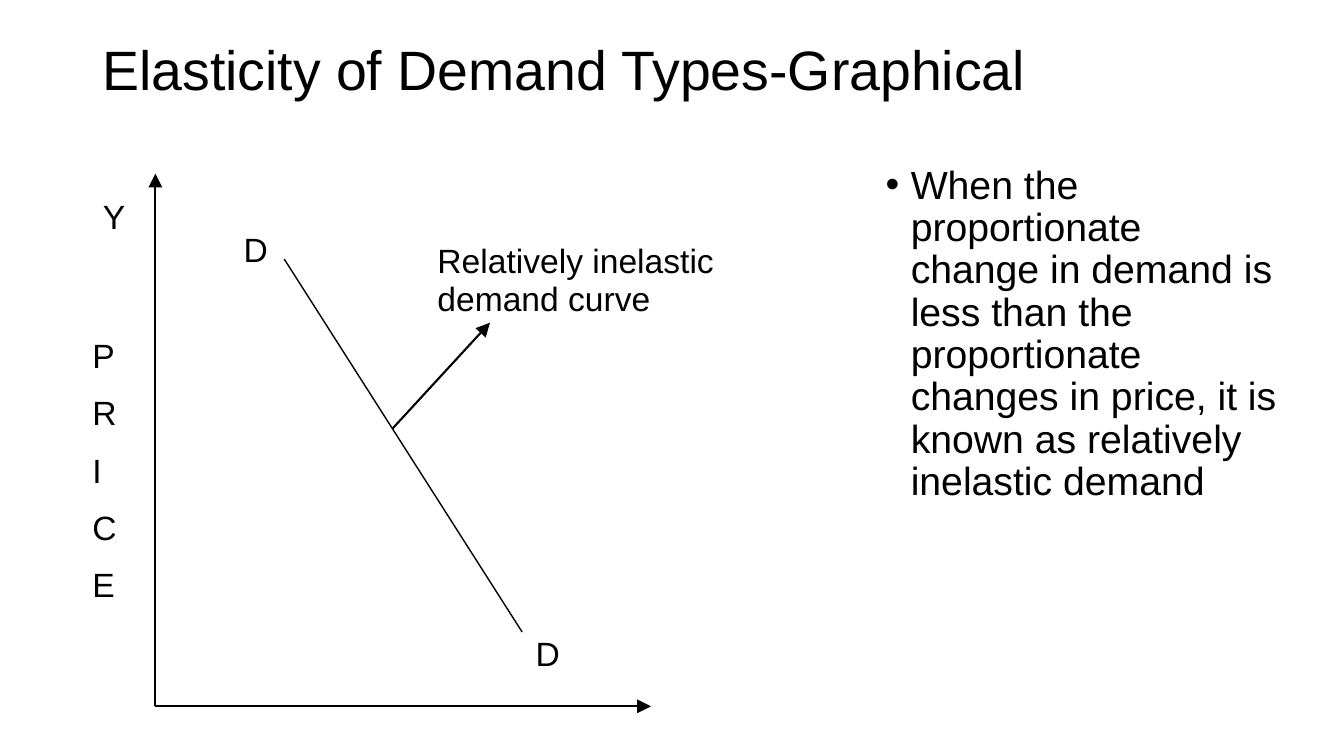
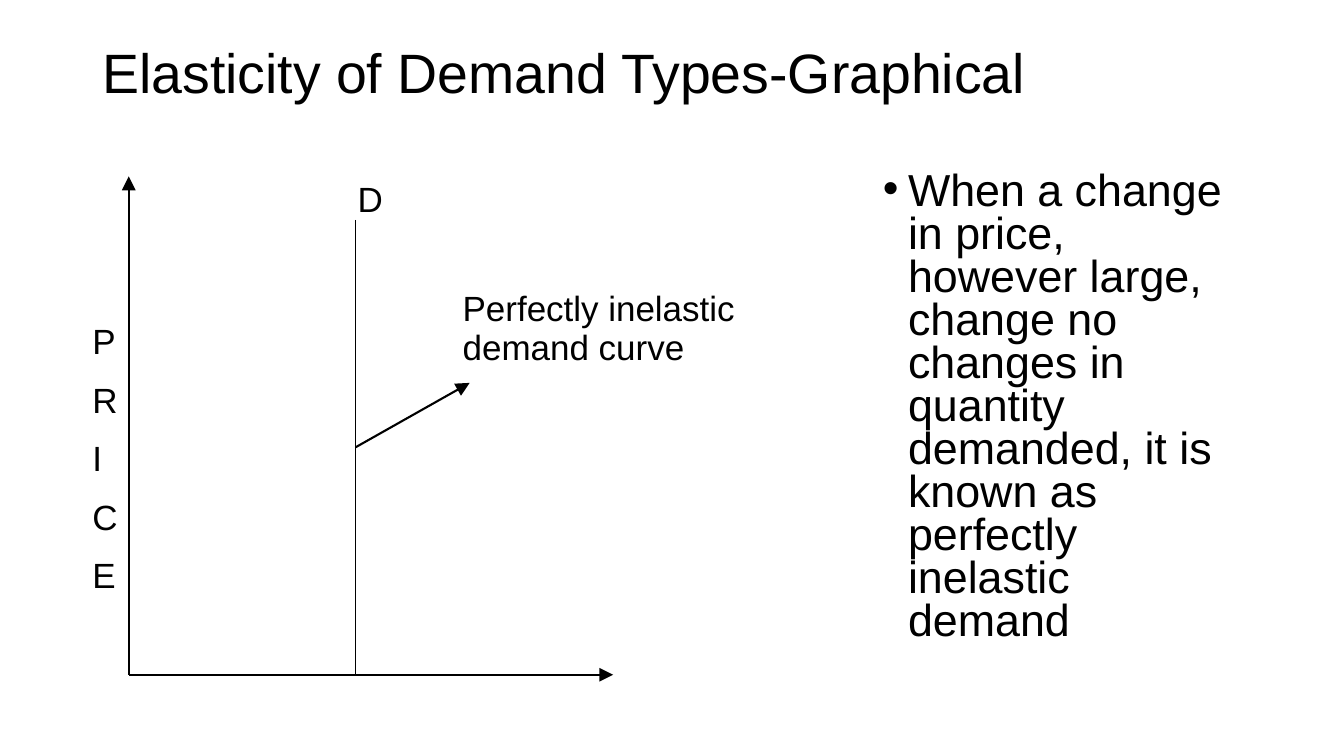
from dataclasses import dataclass

from lxml.etree import SubElement
from pptx import Presentation
from pptx.dml.color import RGBColor
from pptx.enum.shapes import MSO_CONNECTOR
from pptx.enum.text import MSO_ANCHOR
from pptx.oxml.ns import qn
from pptx.util import Pt

FONT = "Arial"
INK = "000000"
PAPER = "FFFFFF"
TITLE = "Elasticity of Demand Types-Graphical"
TITLE_SIZE = 39.6


@dataclass
class Graph:
    """Offsets are points from the top left of the axes."""
    box: tuple          # left, top, width, height of the axes
    size: float         # label text size
    leading: float      # label line height
    curve: tuple        # x1, y1, x2, y2
    pointer: tuple      # x1, y1, x2, y2
    callout: tuple      # x, y, width, text
    price: tuple        # x, y, letter pitch
    labels: list        # (text, x, y)


def color(hex_value):
    return RGBColor.from_string(hex_value)


def style(paragraph, size):
    paragraph.font.name = FONT
    paragraph.font.size = Pt(size)
    paragraph.font.color.rgb = color(INK)


def add_text_box(slide, box, inset=True):
    frame = slide.shapes.add_textbox(*map(Pt, box)).text_frame
    frame.word_wrap = True
    if not inset:
        frame.margin_left = frame.margin_right = 0
        frame.margin_top = frame.margin_bottom = 0
    return frame


def add_title(slide, box):
    frame = add_text_box(slide, box)
    frame.vertical_anchor = MSO_ANCHOR.MIDDLE
    heading = frame.paragraphs[0]
    heading.text = TITLE
    heading.line_spacing = 0.9
    style(heading, TITLE_SIZE)


def add_definition(slide, box, text, size, spacing):
    definition = add_text_box(slide, box).paragraphs[0]
    definition.text = text
    definition.line_spacing = spacing
    # Hanging bullet
    properties = definition._p.get_or_add_pPr()
    properties.set("marL", str(Pt(18)))
    properties.set("indent", str(Pt(-18)))
    SubElement(properties, qn("a:buFont")).set("typeface", FONT)
    SubElement(properties, qn("a:buChar")).set("char", "•")
    style(definition, size)


def add_line(slide, origin, ends, width, arrow=False):
    left, top = origin
    x1, y1, x2, y2 = ends
    line = slide.shapes.add_connector(
        MSO_CONNECTOR.STRAIGHT,
        Pt(left + x1), Pt(top + y1), Pt(left + x2), Pt(top + y2))
    line.line.color.rgb = color(INK)
    line.line.width = Pt(width)
    if arrow:
        head = SubElement(line.line._get_or_add_ln(), qn("a:tailEnd"))
        for key, value in (("type", "triangle"), ("w", "lg"), ("len", "lg")):
            head.set(key, value)
    SubElement(line._element.spPr, qn("a:effectLst"))


def add_label(slide, box, lines, size, leading):
    frame = add_text_box(slide, box, inset=False)
    for index, text in enumerate(lines):
        row = frame.paragraphs[0] if index == 0 else frame.add_paragraph()
        row.text = text
        row.line_spacing = Pt(leading)
        style(row, size)


def add_graph(slide, graph):
    left, top, width, height = graph.box
    origin = left, top
    # Axes
    add_line(slide, origin, (0, height, 0, 0), 1.5, arrow=True)
    add_line(slide, origin, (0, height, width, height), 1.5, arrow=True)
    # Demand curve and its callout
    add_line(slide, origin, graph.curve, 1)
    add_line(slide, origin, graph.pointer, 1.5, arrow=True)
    x, y, callout_width, callout = graph.callout
    add_label(slide, (left + x, top + y, callout_width, 2 * graph.leading),
              [callout], graph.size, graph.leading)
    # Price axis name, one letter a line
    x, y, pitch = graph.price
    add_label(slide, (left + x, top + y, 24, 5 * pitch),
              "PRICE", graph.size, pitch)
    # Single-letter labels
    for text, x, y in graph.labels:
        add_label(slide, (left + x, top + y, 24, graph.leading),
                  [text], graph.size, graph.leading)


def add_elasticity_slide(deck, title_height, graph, definition):
    slide = deck.slides.add_slide(deck.slide_layouts[6])
    slide.background.fill.solid()
    slide.background.fill.fore_color.rgb = color(PAPER)
    add_title(slide, (66, 29, 828, title_height))
    add_graph(slide, graph)
    add_definition(slide, *definition)


RELATIVELY_INELASTIC = Graph(
    box=(111, 124, 354, 380.5), size=24, leading=27.5,
    curve=(92, 61, 262, 327.5),
    pointer=(169.5, 182, 239, 106.5),
    callout=(201.5, 48.5, 261, "Relatively inelastic demand curve"),
    price=(-45, 103, 41),
    labels=[("Y", -37.5, 17), ("D", 63, 40.5), ("D", 271.5, 329.5)])

PERFECTLY_INELASTIC = Graph(
    box=(92, 126, 346, 356), size=25, leading=28,
    curve=(162, 31, 162, 356),
    pointer=(162, 193.5, 243.5, 147.5),
    callout=(238.5, 80.5, 217, "Perfectly inelastic demand curve"),
    price=(-26, 90.5, 41.8),
    labels=[("D", 163.5, 3)])


def main():
    deck = Presentation()
    deck.slide_width, deck.slide_height = Pt(960), Pt(540)
    add_elasticity_slide(
        deck, 45.5, RELATIVELY_INELASTIC,
        ((625.5, 114.5, 294, 384),
         "When the proportionate change in demand is less than the "
         "proportionate changes in price, it is known as relatively "
         "inelastic demand", 28, 0.9))
    add_elasticity_slide(
        deck, 50.5, PERFECTLY_INELASTIC,
        ((623.5, 119.5, 270, 359),
         "When a change in price, however large, change no changes in "
         "quantity demanded, it is known as perfectly inelastic demand",
         32, 0.8))
    deck.save("out.pptx")


if __name__ == "__main__":
    main()
